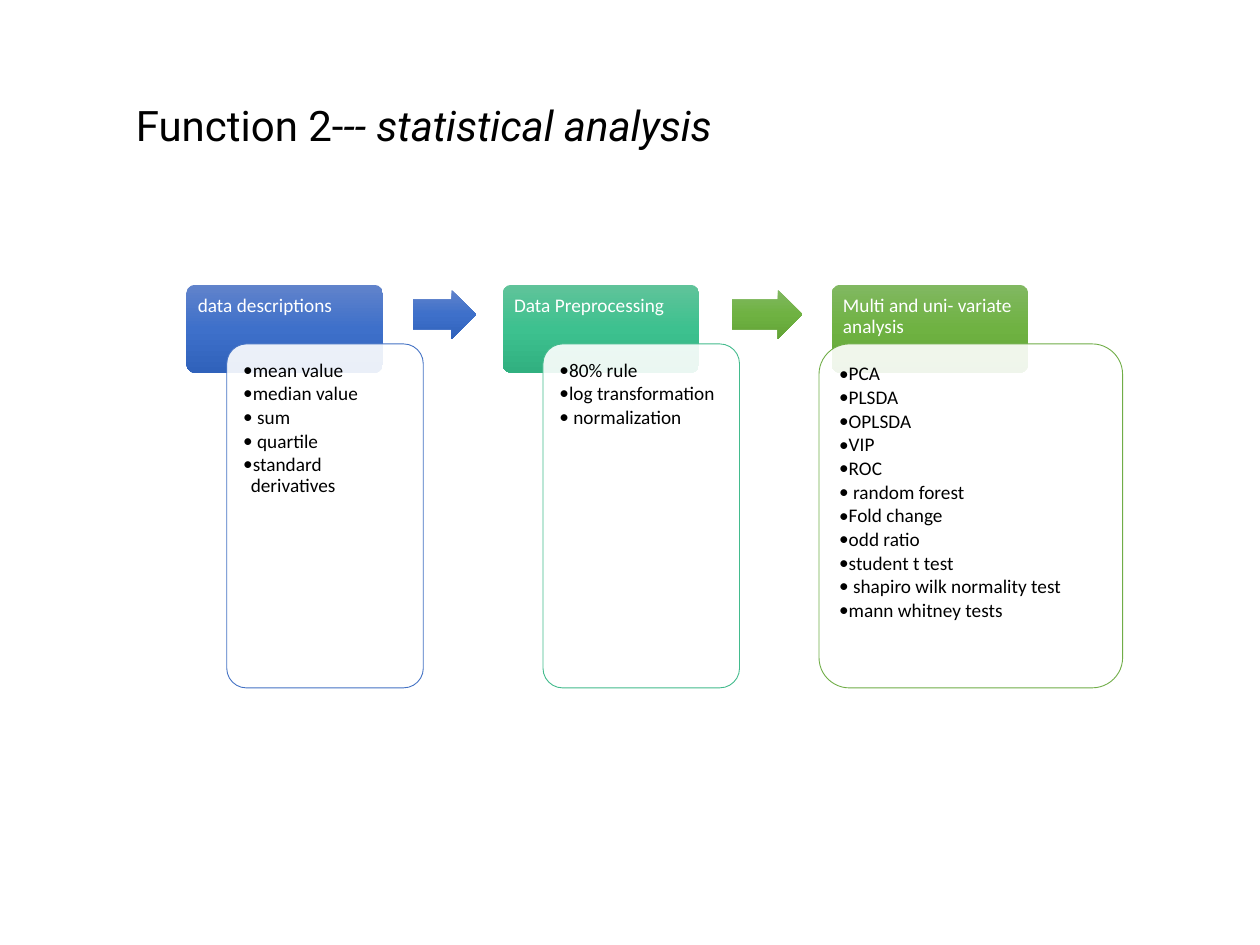
"""Build the statistical analysis slide: three linked steps with their methods."""
import copy
from dataclasses import dataclass

import lxml.etree
import pptx
import pptx.dml.color
import pptx.enum.shapes
import pptx.enum.text
import pptx.oxml.ns
import pptx.util

Inches = pptx.util.Inches
Pt = pptx.util.Pt
SHAPE = pptx.enum.shapes.MSO_SHAPE
qn = pptx.oxml.ns.qn


@dataclass(frozen=True)
class Theme:
    """Colours, fonts and type sizes of the slide."""
    blue: tuple = ("6183CB", "3E70CA", "3062BB")
    teal: tuple = ("60C39A", "3DC18F", "31B080")
    green: tuple = ("81B861", "6FB242", "62A336")
    blue_line: str = "4472C4"
    teal_line: str = "43BB8D"
    green_line: str = "70AD47"
    white: str = "FFFFFF"
    black: str = "000000"
    body_font: str = "Calibri"
    title_font: str = "Roboto"
    body_size: int = 11
    title_size: int = 24


THEME = Theme()
STEP_TOP, STEP_WIDTH, STEP_HEIGHT = 2.26, 1.56, 0.7
PANEL_TOP, PANEL_HEIGHT = 2.73, 2.73
STEPS = [
    ("data descriptions", 1.48, THEME.blue, THEME.blue_line, 1.8, 1.56, 0.04,
     ["mean value", "median value", " sum", " quartile", "standard derivatives"]),
    ("Data Preprocessing", 3.99, THEME.teal, THEME.teal_line, 4.31, 1.56, 0.04,
     ["80% rule", "log transformation", " normalization"]),
    ("Multi and uni- variate analysis", 6.6, THEME.green, THEME.green_line, 6.5, 2.41, 0.07,
     ["PCA", "PLSDA", "OPLSDA", "VIP", "ROC", " random forest", "Fold change", "odd ratio",
      "student t test", " shapiro wilk normality test", "mann whitney tests"]),
]
ARROWS = [(3.28, 0.5, THEME.blue), (5.81, 0.56, THEME.green)]


def rgb(colour):
    """Return a colour object for a hex string."""
    return pptx.dml.color.RGBColor.from_string(colour)


def add_box(s, kind, box, adjustments):
    """Add a preset shape without shadow or line."""
    sp = s.shapes.add_shape(kind, *map(Inches, box))
    sp.shadow.inherit = False
    sp.line.fill.background()
    for i, value in enumerate(adjustments):
        sp.adjustments[i] = value
    return sp


def fill_gradient(sp, colours):
    """Fill a shape with a three-stop gradient from top to bottom."""
    sp.fill.gradient()
    sp.fill.gradient_angle = 270
    stop_list = sp.element.spPr.find(qn("a:gradFill")).find(qn("a:gsLst"))
    stop_list.append(copy.deepcopy(stop_list[-1]))
    for i, (stop, colour) in enumerate(zip(sp.fill.gradient_stops, colours)):
        stop.position = i / 2
        stop.color.rgb = rgb(colour)


def format_font(font, name, size, colour):
    """Set the typeface, size and colour of a run or paragraph font."""
    font.name = name
    font.size = Pt(size)
    font.color.rgb = rgb(colour)


def add_text(s, box, lines, colour, bottom, gap, bullets=False):
    """Add a text box with one paragraph for each line."""
    tf = s.shapes.add_textbox(*map(Inches, box)).text_frame
    tf.word_wrap = True
    tf.margin_left = tf.margin_right = tf.margin_top = Inches(0.09)
    tf.margin_bottom = Inches(bottom)
    tf.text = "\n".join(lines)
    for p in tf.paragraphs:
        p.line_spacing = 0.9
        p.space_after = Pt(gap)
        if bullets:
            add_bullet(p)
        for part in (p, p.runs[0]):
            format_font(part.font, THEME.body_font, THEME.body_size, colour)


def add_bullet(p):
    """Give a paragraph a hanging round bullet."""
    p.level = 1
    pPr = p._p.get_or_add_pPr()
    pPr.set("marL", str(Inches(0.06)))
    pPr.set("indent", str(-Inches(0.06)))
    lxml.etree.SubElement(pPr, qn("a:buFont")).set("typeface", THEME.body_font)
    lxml.etree.SubElement(pPr, qn("a:buChar")).set("char", "•")


def add_step(s, name, left, colours):
    """Add the coloured heading block of a step."""
    sp = add_box(s, SHAPE.ROUNDED_RECTANGLE, (left, STEP_TOP, STEP_WIDTH, STEP_HEIGHT), [0.1])
    fill_gradient(sp, colours)
    add_text(s, (left, STEP_TOP, STEP_WIDTH, 0.47), [name], THEME.white, 0.05, 3.85)


def add_panel(s, left, width, inset, line_colour, methods):
    """Add the translucent panel that lists the methods of a step."""
    sp = add_box(s, SHAPE.ROUNDED_RECTANGLE, (left, PANEL_TOP, width, PANEL_HEIGHT), [0.1])
    sp.fill.solid()
    sp.fill.fore_color.rgb = rgb(THEME.white)
    colour = sp.element.spPr.find(qn("a:solidFill"))[0]
    lxml.etree.SubElement(colour, qn("a:alpha")).set("val", "90000")
    sp.line.color.rgb = rgb(line_colour)
    sp.line.width = Pt(0.5)
    box = (left + inset, PANEL_TOP + inset, width - 2 * inset, PANEL_HEIGHT - 2 * inset)
    add_text(s, box, methods, THEME.black, 0.09, 1.65, bullets=True)


def add_arrow(s, left, width, colours):
    """Add a block arrow between two steps."""
    sp = add_box(s, SHAPE.RIGHT_ARROW, (left, 2.3, width, 0.39), [0.6, 0.5])
    fill_gradient(sp, colours)


def add_title(s):
    """Add the slide title with its italic second part."""
    tf = s.shapes.add_textbox(*map(Inches, (0.98, 0.54, 9.3, 9.49))).text_frame
    tf.word_wrap = True
    tf.auto_size = pptx.enum.text.MSO_AUTO_SIZE.SHAPE_TO_FIT_TEXT
    p = tf.paragraphs[0]
    p.line_spacing = 1.5
    for text, italic in (("Function 2-", False), ("-- statistical analysis", True)):
        r = p.add_run()
        r.text = text
        format_font(r.font, THEME.title_font, THEME.title_size, THEME.black)
        r.font.italic = italic


def main():
    """Build and save the slide."""
    prs = pptx.Presentation()
    prs.slide_width, prs.slide_height = Inches(10), Inches(7.5)
    s = prs.slides.add_slide(prs.slide_layouts[6])
    for name, left, colours, line, panel_left, panel_width, inset, methods in STEPS:
        add_step(s, name, left, colours)
        add_panel(s, panel_left, panel_width, inset, line, methods)
    for left, width, colours in ARROWS:
        add_arrow(s, left, width, colours)
    add_title(s)
    prs.save("out.pptx")


if __name__ == "__main__":
    main()
